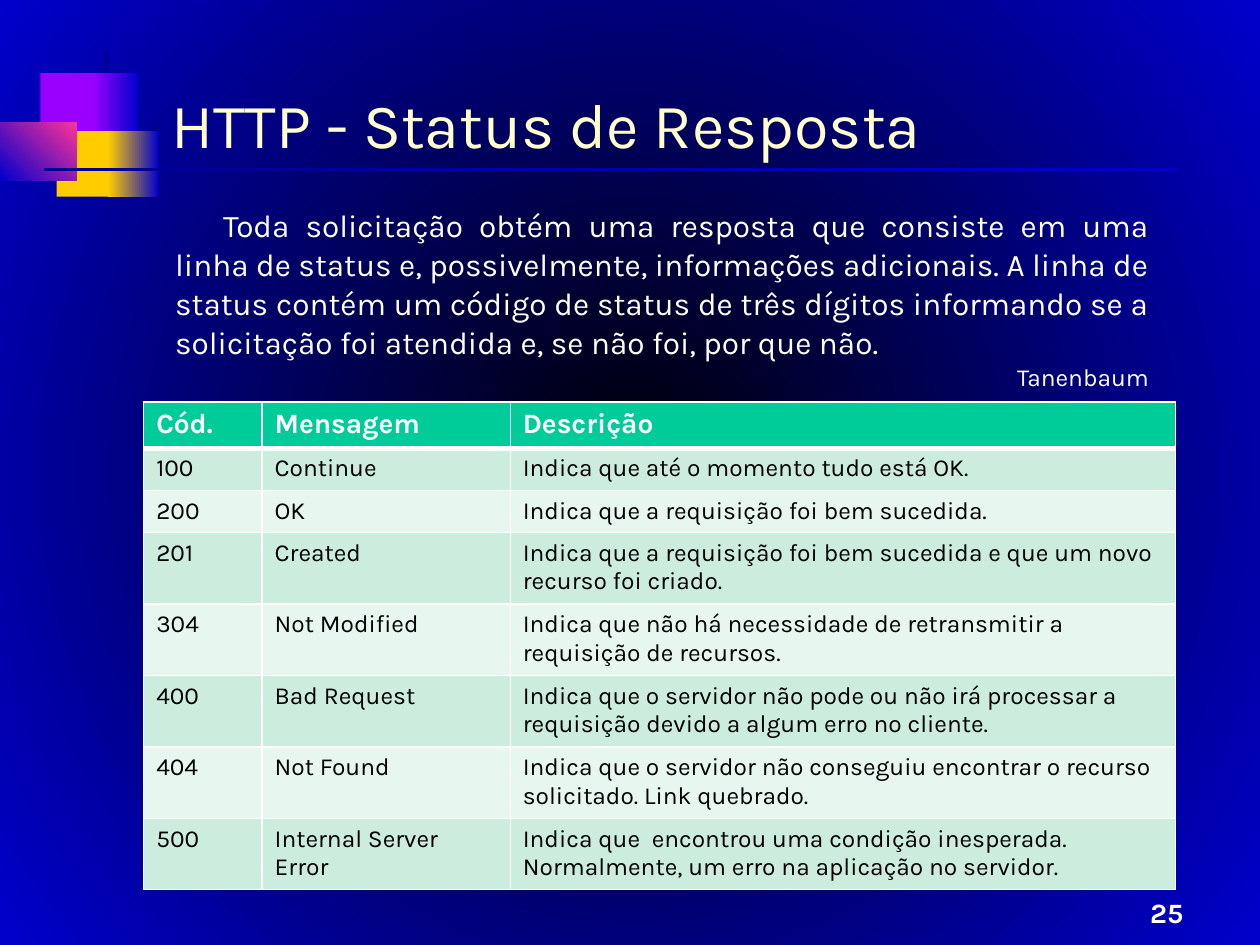
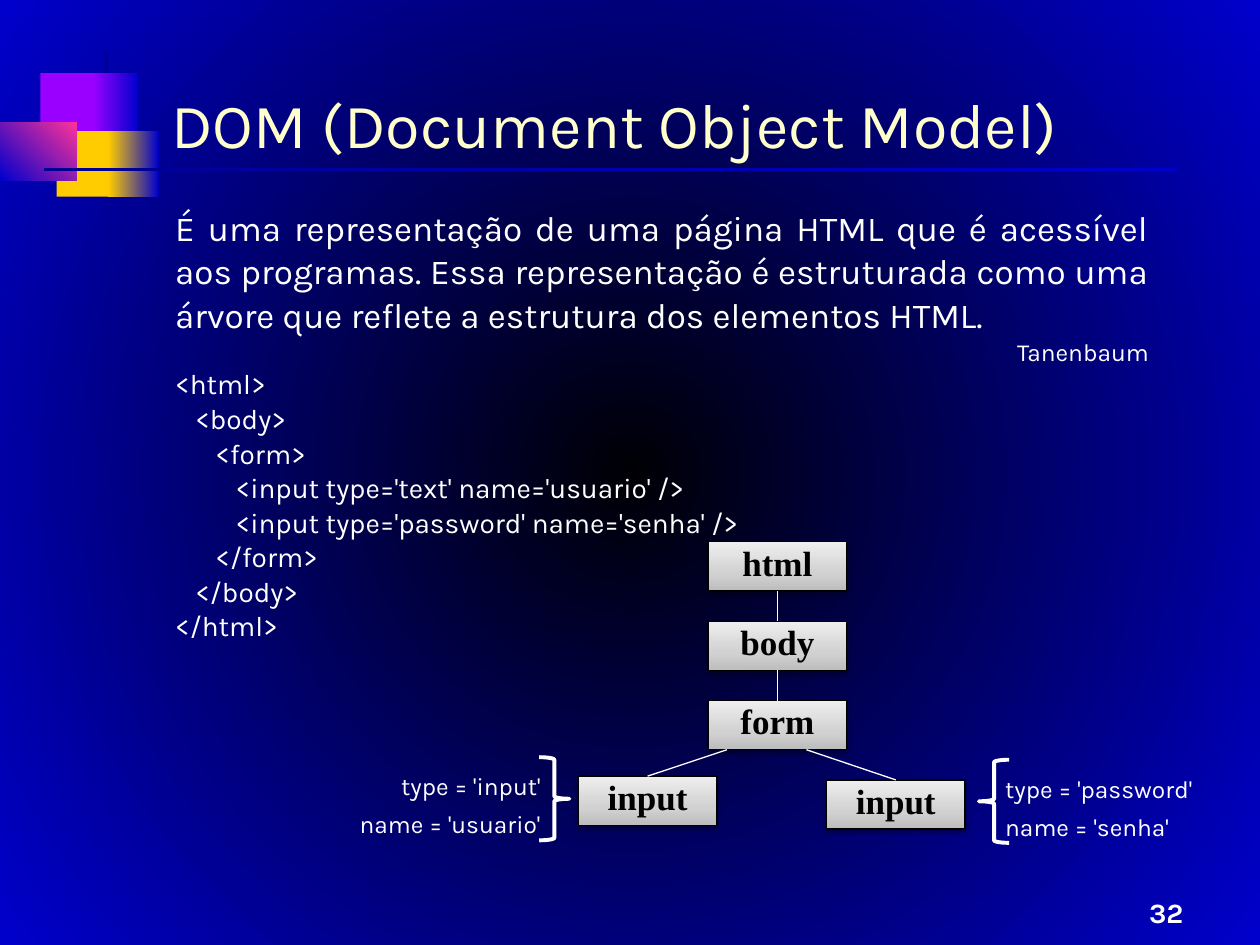
"""Build two lecture slides on HTTP status codes and the DOM tree."""
from dataclasses import dataclass

from lxml import etree
from pptx import Presentation
from pptx import util as u
from pptx.dml.color import RGBColor
from pptx.enum import shapes, text
from pptx.oxml import ns

LEFT, CENTER, RIGHT, JUSTIFY = (
    text.PP_ALIGN.LEFT, text.PP_ALIGN.CENTER, text.PP_ALIGN.RIGHT, text.PP_ALIGN.JUSTIFY)


@dataclass(frozen=True)
class Theme:
    """Colours, fonts and type sizes."""
    font: str = "Karla"
    node_font: str = "Times New Roman"
    white: str = "FFFFFF"
    black: str = "000000"
    title: str = "FFFFCC"
    night: str = "000004"
    blue: str = "0000CC"
    navy: str = "000094"
    purple: str = "9900FF"
    yellow: str = "FFCC00"
    pink: str = "FF3399"
    header: str = "00CC99"
    bands: tuple = ("CCECDE", "E7F6EF")
    node: tuple = ((0, "BDBDBD"), (35, "D1D1D1"), (100, "EEEEEE"))
    title_size: int = 36
    large: int = 20
    medium: int = 18
    normal: int = 16
    small: int = 14


def add_xml(parent, tag, **attributes):
    """Append a namespaced child element."""
    values = {name: str(value) for name, value in attributes.items()}
    return etree.SubElement(parent, ns.qn(tag), values)


def set_gradient(fill, element, stops, angle=None):
    """Apply a linear gradient, or a circular one when no angle is given."""
    fill.gradient()
    gradient = element.xpath(".//a:gradFill")[0]
    gradient.clear()
    stop_list = add_xml(gradient, "a:gsLst")
    for position, color in stops:
        stop = add_xml(stop_list, "a:gs", pos=position * 1000)
        add_xml(stop, "a:srgbClr", val=color)
    if angle is None:
        circle = add_xml(gradient, "a:path", path="circle")
        add_xml(circle, "a:fillToRect", l=50000, t=50000, r=50000, b=50000)
    else:
        add_xml(gradient, "a:lin", ang=angle * 60000, scaled=0)


def put_text(paragraph, words, size=Theme.small, color=Theme.white, font=Theme.font,
             bold=False, align=LEFT, spacing=1.0, margin=0, indent=0):
    """Write formatted words into a paragraph."""
    paragraph.alignment = align
    paragraph.line_spacing = spacing
    paragraph.space_before = paragraph.space_after = u.Pt(0)
    properties = paragraph._p.get_or_add_pPr()
    properties.set("marL", str(u.Inches(margin)))
    properties.set("indent", str(u.Inches(indent)))
    add_xml(properties, "a:buNone")
    run = paragraph.add_run()
    run.text = words
    run.font.name = font
    run.font.size = u.Pt(size)
    run.font.bold = bold
    run.font.color.rgb = RGBColor.from_string(color)


def place(item, box):
    """Move an item to a box given in inches."""
    item.left, item.top, item.width, item.height = map(u.Inches, box)


class Deck:
    """Hold the theme and the current slide."""

    def __init__(self):
        self.theme = Theme()
        self.show = Presentation()
        self.show.slide_width, self.show.slide_height = u.Inches(10), u.Inches(7.5)
        self.slide = None

    def start(self, title, number):
        """Add a slide with its title and page number."""
        first = self.slide is None
        self.slide = self.show.slides.add_slide(self.show.slide_layouts[1])
        if first:
            self.decorate_master()
        heading = self.slide.shapes.title
        place(heading, (1.26, 0.55, 8.51, 0.78))
        heading.text_frame.vertical_anchor = text.MSO_ANCHOR.BOTTOM
        heading.text_frame.auto_size = text.MSO_AUTO_SIZE.NONE
        put_text(heading.text_frame.paragraphs[0], title, size=self.theme.title_size,
                 color=self.theme.title, spacing=1.05)
        self.label((7.42, 6.92, 2.07, 0.5), [str(number)], wrap=True,
                   anchor=text.MSO_ANCHOR.BOTTOM, size=self.theme.normal,
                   bold=True, align=RIGHT)

    def decorate_master(self):
        """Put the background and the ornament on the slide master."""
        theme, master = self.theme, self.show.slide_master
        set_gradient(master.background.fill, master.element,
                     ((0, theme.night), (100, theme.blue)))
        ornament = (
            ((0.83, 0.42, 0.03, 1.15), theme.navy, None),
            ((0.32, 0.58, 0.48, 0.52), theme.purple, None),
            ((0.74, 0.58, 0.36, 0.52), (theme.blue, theme.purple), 180),
            ((0.45, 1.04, 0.46, 0.52), theme.yellow, None),
            ((0.86, 1.04, 0.4, 0.52), (theme.blue, theme.yellow), 180),
            ((0, 0.97, 0.61, 0.46), (theme.pink, theme.blue), 135),
            ((0.35, 1.33, 8.99, 0.03), (theme.blue, theme.navy), 180),
        )
        for box, paint, angle in ornament:
            block = self.shape(shapes.MSO_SHAPE.RECTANGLE, box)
            if angle is None:
                block.fill.solid()
                block.fill.fore_color.rgb = RGBColor.from_string(paint)
            else:
                set_gradient(block.fill, block._element, zip((0, 100), paint), angle)
            master.shapes._spTree.append(block._element)

    def shape(self, kind, box, line=None, width=0.75):
        """Add a preset shape without fill or shadow."""
        item = self.slide.shapes.add_shape(kind, *map(u.Inches, box))
        item.shadow.inherit = False
        item.fill.background()
        if line:
            item.line.color.rgb = RGBColor.from_string(line)
            item.line.width = u.Pt(width)
        else:
            item.line.fill.background()
        return item

    def body(self, paragraphs):
        """Fill the body placeholder with (words, format) pairs."""
        content = self.slide.placeholders[1]
        place(content, (1.29, 1.58, 7.93, 5.12))
        frame = content.text_frame
        frame.auto_size = text.MSO_AUTO_SIZE.NONE
        for index, (words, style) in enumerate(paragraphs):
            paragraph = frame.add_paragraph() if index else frame.paragraphs[0]
            put_text(paragraph, words, **style)

    def label(self, box, lines, wrap=False, anchor=text.MSO_ANCHOR.TOP, **style):
        """Add a text box with one paragraph a line."""
        frame = self.slide.shapes.add_textbox(*map(u.Inches, box)).text_frame
        frame.word_wrap = wrap
        frame.vertical_anchor = anchor
        for index, words in enumerate(lines):
            paragraph = frame.add_paragraph() if index else frame.paragraphs[0]
            put_text(paragraph, words, **style)

    def table(self, box, widths, heights, rows):
        """Add a table with a header row, bands and white borders."""
        theme = self.theme
        grid = self.slide.shapes.add_table(
            len(rows), len(widths), *map(u.Inches, box)).table
        for column, width in zip(grid.columns, widths):
            column.width = u.Inches(width)
        for r, (height, values) in enumerate(zip(heights, rows)):
            grid.rows[r].height = u.Inches(height)
            header = r == 0
            fill = theme.header if header else theme.bands[(r - 1) % 2]
            borders = {"L": 1, "R": 1, "T": 3 if r == 1 else 1, "B": 3 if header else 1}
            for c, words in enumerate(values):
                cell = grid.cell(r, c)
                properties = cell._tc.get_or_add_tcPr()
                for side, points in borders.items():
                    border = add_xml(properties, f"a:ln{side}", w=u.Pt(points))
                    add_xml(add_xml(border, "a:solidFill"), "a:srgbClr", val=theme.white)
                cell.fill.solid()
                cell.fill.fore_color.rgb = RGBColor.from_string(fill)
                put_text(cell.text_frame.paragraphs[0], words, bold=header,
                         size=theme.normal if header else theme.small,
                         color=theme.white if header else theme.black)

    def node(self, left, top, words):
        """Add a shaded box of the tree."""
        theme = self.theme
        box = self.shape(shapes.MSO_SHAPE.RECTANGLE, (left, top, 1.1, 0.39), theme.black)
        set_gradient(box.fill, box._element, theme.node, 270)
        effects = box._element.xpath("./p:spPr/a:effectLst")[0]
        shadow = add_xml(effects, "a:outerShdw", blurRad=u.Pt(3.1), dist=u.Pt(1.6),
                         dir=90 * 60000, rotWithShape=0)
        add_xml(add_xml(shadow, "a:srgbClr", val=theme.black), "a:alpha", val=38000)
        box.text_frame.vertical_anchor = text.MSO_ANCHOR.MIDDLE
        put_text(box.text_frame.paragraphs[0], words, size=theme.large, color=theme.black,
                 font=theme.node_font, bold=True, align=CENTER, spacing=0.78)
        return box

    def link(self, parent, child, start=None):
        """Join a parent, at its bottom or a start point, to the top of a child."""
        x, y = map(u.Inches, start or (0, 0))
        branch = self.slide.shapes.add_connector(
            shapes.MSO_CONNECTOR.STRAIGHT, x, y, child.left, child.top)
        if start is None:
            branch.begin_connect(parent, 2)
        branch.end_connect(child, 0)
        branch.line.color.rgb = RGBColor.from_string(self.theme.white)
        branch.line.width = u.Pt(0.75)
        add_xml(branch._element.spPr, "a:effectLst")

    def brace(self, left, top, flipped=False):
        """Add a brace pointing right, or left when flipped."""
        item = self.shape(shapes.MSO_SHAPE.RIGHT_BRACE, (left, top, 0.24, 0.66),
                          self.theme.white, 2.25)
        if flipped:
            item._element.spPr.xfrm.set("flipH", "1")


def build_status(deck):
    """Build the slide on response status codes."""
    theme = deck.theme
    deck.start("HTTP - Status de Resposta", 25)
    deck.body([
        ("Toda solicitação obtém uma resposta que consiste em uma linha de status e, "
         "possivelmente, informações adicionais. A linha de status contém um código de "
         "status de três dígitos informando se a solicitação foi atendida e, se não foi, "
         "por que não.",
         dict(size=theme.medium, align=JUSTIFY, indent=0.38, spacing=1.03)),
        ("Tanenbaum", dict(align=RIGHT, indent=0.38, spacing=1.03)),
    ])
    statuses = [
        ("Cód.", "Mensagem", "Descrição"),
        ("100", "Continue", "Indica que até o momento tudo está OK."),
        ("200", "OK", "Indica que a requisição foi bem sucedida."),
        ("201", "Created",
         "Indica que a requisição foi bem sucedida e que um novo recurso foi criado."),
        ("304", "Not Modified",
         "Indica que não há necessidade de retransmitir a requisição de recursos."),
        ("400", "Bad Request",
         "Indica que o servidor não pode ou não irá processar a requisição devido a "
         "algum erro no cliente."),
        ("404", "Not Found",
         "Indica que o servidor não conseguiu encontrar o recurso solicitado. "
         "Link quebrado."),
        ("500", "Internal Server Error",
         "Indica que  encontrou uma condição inesperada. Normalmente, um erro na "
         "aplicação no servidor."),
    ]
    deck.table((1.14, 3.19, 8.19, 3.79), (0.94, 1.97, 5.28),
               [0.36] + [0.33] * 2 + [0.55] * 5, statuses)


def build_dom(deck):
    """Build the slide on the document tree."""
    theme = deck.theme
    deck.start("DOM (Document Object Model)", 32)
    markup = [
        (0, "<html>"), (1, "<body>"), (2, "<form>"),
        (3, "<input type='text' name='usuario' />"),
        (3, "<input type='password' name='senha' />"),
        (2, "</form>"), (1, "</body>"), (0, "</html>"),
    ]
    deck.body([
        ("É uma representação de uma página HTML que é acessível aos programas. Essa "
         "representação é estruturada como uma árvore que reflete a estrutura dos "
         "elementos HTML.", dict(size=theme.large, align=JUSTIFY, spacing=1.03)),
        ("Tanenbaum", dict(align=RIGHT, indent=0.38, spacing=1.05)),
    ] + [
        (tag, dict(size=theme.normal, align=JUSTIFY, margin=0.16 * depth, spacing=1.03))
        for depth, tag in markup
    ])
    html, body, form = (deck.node(5.62, 4.3 + 0.63 * level, name)
                        for level, name in enumerate(("html", "body", "form")))
    user, password = deck.node(4.59, 6.16, "input"), deck.node(6.56, 6.19, "input")
    deck.link(html, body)
    deck.link(body, form)
    deck.link(form, user, (5.77, 5.95))
    deck.link(form, password, (6.4, 5.95))
    deck.brace(4.28, 6.01)
    deck.brace(7.77, 6.03, flipped=True)
    deck.label((2.73, 6, 1.66, 0.68), ["type = 'input'", "name = 'usuario'"],
               align=RIGHT, spacing=1.3)
    deck.label((7.88, 6.02, 1.74, 0.71), ["type = 'password'", "name = 'senha'"],
               spacing=1.3)


def main():
    """Build and save the presentation."""
    deck = Deck()
    build_status(deck)
    build_dom(deck)
    deck.show.save("out.pptx")


if __name__ == "__main__":
    main()
